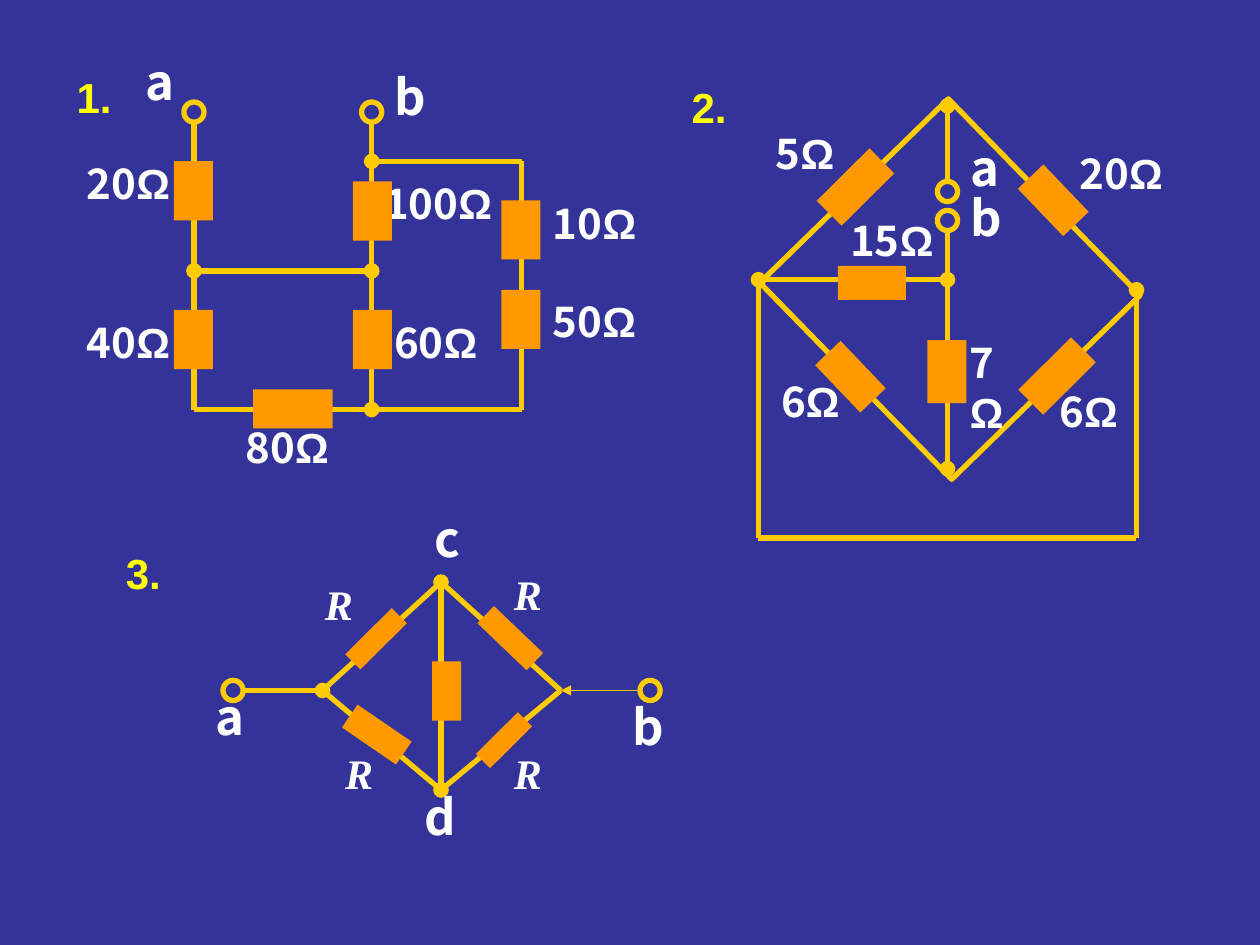
import pptx
import pptx.dml.color
import pptx.enum.shapes
import pptx.enum.text
import pptx.oxml.ns
import pptx.util
from lxml import etree
from pptx.util import Inches

COLORS = {"back": "333399", "wire": "FFCC00", "part": "FF9900",
          "text": "FFFFFF", "mark": "FFFF00"}
RGB = {k: pptx.dml.color.RGBColor.from_string(v) for k, v in COLORS.items()}
KINDS = pptx.enum.shapes.MSO_SHAPE

deck = pptx.Presentation()
deck.slide_width, deck.slide_height = Inches(10), Inches(7.5)
slide = deck.slides.add_slide(deck.slide_layouts[6])
slide.background.fill.solid()
slide.background.fill.fore_color.rgb = RGB["back"]
shapes = slide.shapes


def add_shape(kind, box, turn=0, solid=True):
    """Add a filled part, or a bare outline in wire colour."""
    shape = shapes.add_shape(kind, *map(Inches, box))
    shape.shadow.inherit = False
    shape.rotation = turn
    if solid:
        shape.fill.solid()
        shape.fill.fore_color.rgb = RGB["part"]
        shape.line.fill.background()
    else:
        shape.fill.background()
        shape.line.color.rgb = RGB["wire"]
        shape.line.width = pptx.util.Pt(3)


def add_label(left, top, width, height, size, color, *runs):
    """Add bold text; each run is a (text, font) pair."""
    box = shapes.add_textbox(*map(Inches, (left, top, width, height)))
    frame = box.text_frame
    frame.word_wrap = True
    frame.auto_size = pptx.enum.text.MSO_AUTO_SIZE.SHAPE_TO_FIT_TEXT
    para = frame.paragraphs[0]
    para.font.size = pptx.util.Pt(size)
    para.font.bold = True
    para.font.color.rgb = RGB[color]
    for text, face in runs:
        run = para.add_run()
        run.text = text
        run.font.name = face
        if text == "R":
            run.font.italic = True


# Bridge of circuit 2
add_shape(KINDS.RECTANGLE, (6.45, 1.25, 2.18, 2.09), 45.7, solid=False)

# Wires: x1, y1, x2, y2, head end, tail end
wires = [
    # Circuit 1
    (1.54, 0.96, 1.54, 3.25, "", ""),
    (1.54, 2.15, 2.95, 2.15, "oval", "oval"),
    (2.95, 1.28, 4.14, 1.28, "oval", ""),
    (4.14, 1.28, 4.14, 3.25, "", ""),
    (2.95, 3.25, 4.14, 3.25, "", ""),
    (1.54, 3.25, 2.95, 3.25, "", "oval"),
    (2.95, 0.96, 2.95, 3.25, "", ""),
    # Circuit 2
    (7.52, 0.84, 7.52, 1.44, "oval", ""),
    (7.52, 1.83, 7.52, 3.72, "", "oval"),
    (6.02, 2.22, 7.52, 2.22, "oval", "oval"),
    (6.02, 2.22, 6.02, 4.27, "", ""),
    (6.02, 4.27, 9.02, 4.27, "", ""),
    (9.02, 2.3, 9.02, 4.27, "oval", ""),
    # Circuit 3
    (1.93, 5.48, 2.56, 5.48, "", "oval"),
    (2.56, 5.48, 3.5, 4.62, "", ""),
    (2.56, 5.48, 3.5, 6.27, "", ""),
    (3.5, 4.62, 3.5, 6.27, "oval", "oval"),
    (3.5, 4.62, 4.45, 5.48, "", ""),
    (3.5, 6.27, 4.45, 5.48, "", ""),
    (4.45, 5.48, 5.08, 5.48, "triangle", ""),
]
for *ends, head, tail in wires:
    wire = shapes.add_connector(pptx.enum.shapes.MSO_CONNECTOR.STRAIGHT,
                                *map(Inches, ends))
    wire.line.color.rgb = RGB["wire"]
    wire.line.width = pptx.util.Pt(0.75 if head == "triangle" else 3)
    props = wire._element.find(pptx.oxml.ns.qn("p:spPr"))
    line = props.find(pptx.oxml.ns.qn("a:ln"))
    for tag, style in (("a:headEnd", head), ("a:tailEnd", tail)):
        if style:
            etree.SubElement(line, pptx.oxml.ns.qn(tag), type=style)
    etree.SubElement(props, pptx.oxml.ns.qn("a:effectLst"))

# Open terminals
for left, top in [(1.46, 0.81), (2.87, 0.81), (7.44, 1.44), (7.44, 1.67),
                  (1.77, 5.4), (5.08, 5.4)]:
    add_shape(KINDS.OVAL, (left, top, 0.16, 0.16), solid=False)

# Values in ohms
for value, left, top, width in [
        ("20", 0.59, 1.2, 1.1), ("40", 0.59, 2.46, 1.1),
        ("80", 1.85, 3.3, 1.1), ("100", 2.95, 1.36, 1.1),
        ("60", 3.03, 2.46, 1.02), ("10", 4.29, 1.52, 1.02),
        ("50", 4.29, 2.3, 1.1), ("5", 6.06, 0.96, 0.67),
        ("20", 8.47, 1.12, 0.86), ("15", 6.65, 1.65, 0.94),
        ("6", 6.1, 2.93, 0.79), ("7", 7.6, 2.62, 0.63),
        ("6", 8.31, 3.01, 0.71)]:
    add_label(left, top, width, 0.9 if value == "7" else 0.5, 24, "text",
              (value, "Noto Sans CJK SC"), ("Ω", "Arial"))

# Names of points
for name, left, top in [("a", 1.06, 0.36), ("b", 3.03, 0.48),
                        ("a", 7.6, 1.04), ("b", 7.6, 1.44),
                        ("a", 1.61, 5.4), ("b", 4.92, 5.48),
                        ("c", 3.35, 3.99), ("d", 3.27, 6.19)]:
    add_label(left, top, 0.39, 0.57, 28, "text", (name, "Noto Sans CJK SC"))

for left, top in [(2.48, 4.54), (3.98, 4.46), (2.64, 5.88), (3.98, 5.88)]:
    add_label(left, top, 0.39, 0.5, 24, "text", ("R", "Times New Roman"))

for mark, left, top in [("1.", 0.51, 0.52), ("2.", 5.39, 0.6),
                        ("3.", 0.9, 4.3)]:
    add_label(left, top, 0.55, 0.5, 24, "mark", (mark, "Arial"))

# Resistors: left, top, width, height, turn
for *box, turn in [
        # Circuit 1
        (1.38, 1.28, 0.31, 0.47, 0), (1.38, 2.46, 0.31, 0.47, 0),
        (2.8, 1.44, 0.31, 0.47, 0), (2.8, 2.46, 0.31, 0.47, 0),
        (3.98, 1.59, 0.31, 0.47, 0), (3.98, 2.3, 0.31, 0.47, 0),
        (2.01, 3.09, 0.63, 0.31, 0),
        # Circuit 2
        (6.65, 1.19, 0.28, 0.59, 45.2), (8.22, 1.33, 0.28, 0.52, 316.3),
        (6.61, 2.73, 0.28, 0.52, 316.3), (8.25, 2.69, 0.28, 0.59, 45.2),
        (6.65, 2.11, 0.54, 0.27, 0), (7.36, 2.7, 0.31, 0.5, 0),
        # Circuit 3
        (2.9, 4.81, 0.17, 0.52, 45.2), (3.78, 4.97, 0.54, 0.19, 43.7),
        (2.73, 5.72, 0.52, 0.22, 34.4), (3.92, 5.64, 0.16, 0.47, 45.2),
        (3.43, 5.25, 0.23, 0.47, 0)]:
    add_shape(KINDS.RECTANGLE, box, turn)

deck.save("out.pptx")
